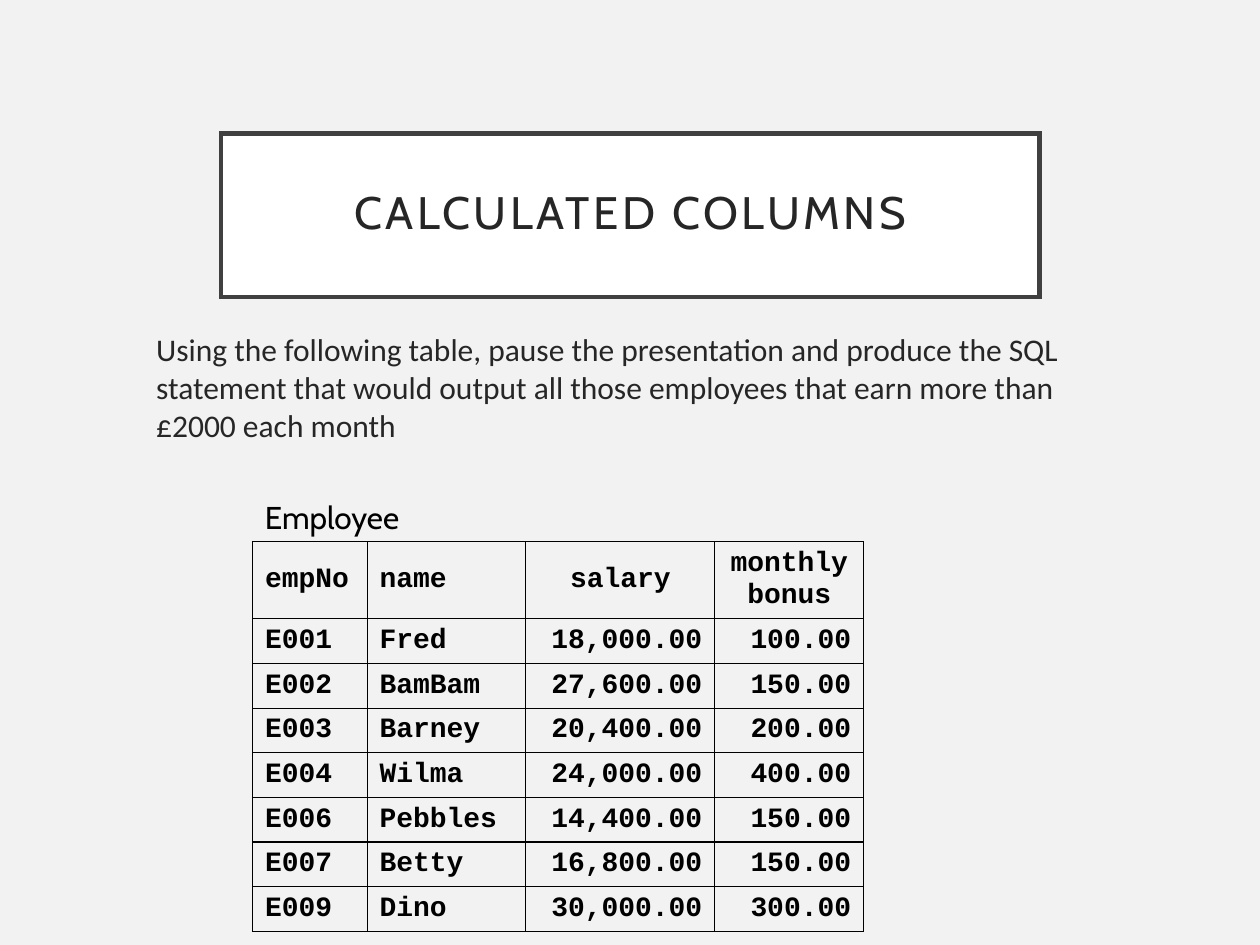
from lxml import etree
from pptx import Presentation
from pptx.dml.color import RGBColor
from pptx.enum.shapes import MSO_SHAPE
from pptx.enum.text import MSO_ANCHOR, PP_ALIGN
from pptx.oxml.ns import qn
from pptx.util import Cm, Pt

RECTANGLE = MSO_SHAPE.RECTANGLE
MIDDLE = MSO_ANCHOR.MIDDLE
LEFT, CENTER, RIGHT = PP_ALIGN.LEFT, PP_ALIGN.CENTER, PP_ALIGN.RIGHT

COLORS = {
    "background": "F2F2F2",
    "panel": "FFFFFF",
    "frame": "404040",
    "text": "262626",
    "black": "000000",
}
TITLE_FONT = {"name": "Cabin", "size": Pt(26)}
BODY_FONT = {"name": "Calibri", "size": Pt(18)}
CAPTION_FONT = {"name": "Cabin", "size": Pt(18)}
TABLE_FONT = {"name": "Courier New", "size": Pt(16), "bold": True}
CELL_FORMAT = {
    "vertical_anchor": MIDDLE,
    "margin_top": Cm(0.1),
    "margin_bottom": Cm(0.1),
}

COLUMN_WIDTHS = [2.31, 3.2, 3.81, 3.0]
HEADER_ALIGNMENTS = [LEFT, LEFT, CENTER, CENTER]
BODY_ALIGNMENTS = [LEFT, LEFT, RIGHT, RIGHT]
HEADER_HEIGHT, ROW_HEIGHT = 1.52, 0.9
EMPLOYEES = [
    ["empNo", "name", "salary", "monthly bonus"],
    ["E001", "Fred", "18,000.00", "100.00"],
    ["E002", "BamBam", "27,600.00", "150.00"],
    ["E003", "Barney", "20,400.00", "200.00"],
    ["E004", "Wilma", "24,000.00", "400.00"],
    ["E006", "Pebbles", "14,400.00", "150.00"],
    ["E007", "Betty", "16,800.00", "150.00"],
    ["E009", "Dino", "30,000.00", "300.00"],
]


def color(name):
    """Return the named colour."""
    return RGBColor.from_string(COLORS[name])


def apply_format(target, values):
    """Set each attribute of the target from a dict."""
    for attribute, value in values.items():
        setattr(target, attribute, value)


def write_text(text_frame, text, font_format, color_name, alignment=LEFT):
    """Write one formatted paragraph and return it."""
    paragraph = text_frame.paragraphs[0]
    paragraph.alignment = alignment
    run = paragraph.add_run()
    run.text = text
    apply_format(run.font, font_format)
    run.font.color.rgb = color(color_name)
    return paragraph


def add_title(slide, text, left, top, width, height):
    """Add the framed title panel with square corners."""
    shape = slide.shapes.add_shape(
        RECTANGLE, Cm(left), Cm(top), Cm(width), Cm(height))
    shape.shadow.inherit = False
    shape.fill.solid()
    shape.fill.fore_color.rgb = color("panel")
    shape.line.color.rgb = color("frame")
    shape.line.width = Pt(2.5)
    outline = shape._element.spPr.find(qn("a:ln"))
    etree.SubElement(outline, qn("a:miter"), lim="800000")
    text_frame = shape.text_frame
    text_frame.word_wrap = True
    text_frame.vertical_anchor = MIDDLE
    for side in ("left", "top", "right", "bottom"):
        setattr(text_frame, f"margin_{side}", Cm(0.51))
    paragraph = write_text(text_frame, text, TITLE_FONT, "text", CENTER)
    paragraph.line_spacing = 0.9
    paragraph.runs[0].font._element.set("spc", "200")


def add_text(slide, text, font_format, color_name, left, top, width, height):
    """Add a wrapping text box."""
    shape = slide.shapes.add_textbox(Cm(left), Cm(top), Cm(width), Cm(height))
    shape.text_frame.word_wrap = True
    write_text(shape.text_frame, text, font_format, color_name)


def add_borders(cell):
    """Draw thin black lines on all four sides of a cell."""
    properties = cell._tc.get_or_add_tcPr()
    for side in ("lnL", "lnR", "lnT", "lnB"):
        line = etree.SubElement(properties, qn(f"a:{side}"), w=str(Pt(0.75)))
        fill = etree.SubElement(line, qn("a:solidFill"))
        etree.SubElement(fill, qn("a:srgbClr"), val=COLORS["black"])


def add_table(slide, rows, left, top):
    """Add the bordered employee table."""
    heights = [HEADER_HEIGHT] + [ROW_HEIGHT] * (len(rows) - 1)
    table = slide.shapes.add_table(
        len(rows), len(COLUMN_WIDTHS), Cm(left), Cm(top),
        Cm(sum(COLUMN_WIDTHS)), Cm(sum(heights))).table
    table.first_row = table.horz_banding = False
    for column, width in zip(table.columns, COLUMN_WIDTHS):
        column.width = Cm(width)
    for row_index, values in enumerate(rows):
        table.rows[row_index].height = Cm(heights[row_index])
        alignments = BODY_ALIGNMENTS if row_index else HEADER_ALIGNMENTS
        for column_index, value in enumerate(values):
            cell = table.cell(row_index, column_index)
            add_borders(cell)
            cell.fill.background()
            apply_format(cell, CELL_FORMAT)
            write_text(cell.text_frame, value, TABLE_FONT, "black",
                       alignments[column_index])


def main():
    """Build and save the slide."""
    presentation = Presentation()
    presentation.slide_width, presentation.slide_height = Cm(25.4), Cm(19.05)
    slide = presentation.slides.add_slide(presentation.slide_layouts[6])
    slide.background.fill.solid()
    slide.background.fill.fore_color.rgb = color("background")

    add_title(slide, "CALCULATED COLUMNS", 4.46, 2.69, 16.5, 3.3)
    add_text(slide, "Using the following table, pause the presentation and "
             "produce the SQL statement that would output all those employees "
             "that earn more than £2000 each month",
             BODY_FONT, "text", 2.9, 6.53, 19.2, 3.4)
    add_table(slide, EMPLOYEES, 5.09, 10.92)
    add_text(slide, "Employee", CAPTION_FONT, "black", 5.09, 9.91, 3.81, 1.02)
    presentation.save("out.pptx")


main()
